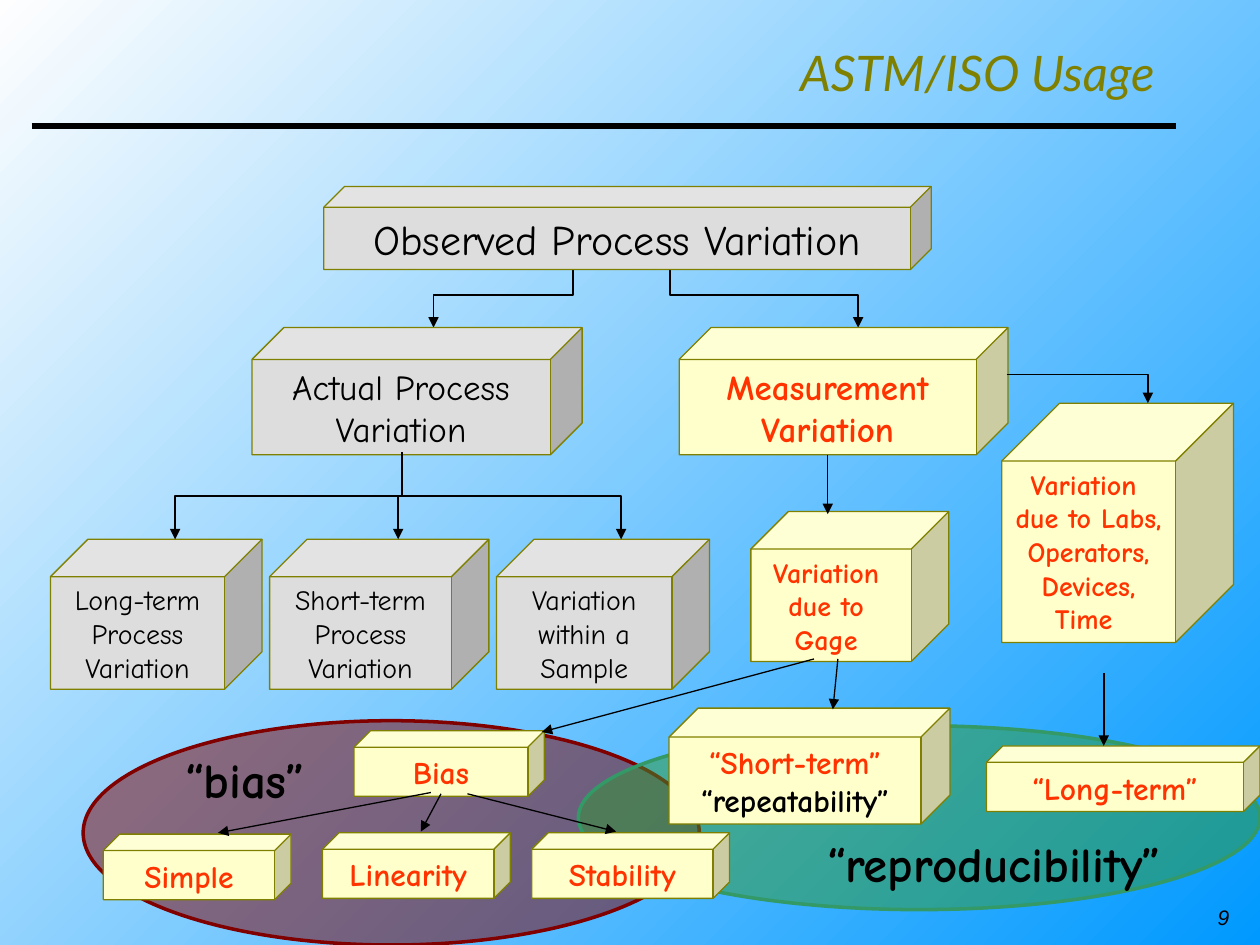
from lxml.etree import SubElement
from pptx import Presentation
from pptx.dml.color import RGBColor
from pptx.enum.shapes import MSO_CONNECTOR, MSO_SHAPE
from pptx.enum.text import MSO_ANCHOR, PP_ALIGN
from pptx.oxml.ns import qn
from pptx.util import Inches, Pt

COLORS = {
    "black": "000000", "white": "FEFEFE", "sky": "0099FF", "olive": "808000",
    "gray": "DDDDDD", "cream": "FFFFCC", "red": "FF3300", "maroon": "800000",
    "green": "339933", "sea": "339966",
}
BODY_FONT = "Comic Neue"

# left, top, width, height, text size, lines
PROCESS_CUBES = [
    (2, 2.6, 2.62, 1.01, 20, ["Actual Process Variation"]),
    (2.57, 1.48, 4.82, 0.66, 24, ["Observed Process Variation"]),
    (0.4, 4.28, 1.68, 1.19, 16, ["Long-term Process Variation"]),
    (2.14, 4.28, 1.74, 1.19, 16, ["Short-term Process Variation"]),
    (3.94, 4.28, 1.69, 1.19, 16, ["Variation within a Sample"]),
]
MEASUREMENT_CUBES = [
    (5.39, 2.6, 2.61, 1.01, 20, ["Measurement Variation"]),
    (7.95, 3.2, 1.84, 1.9, 16,
     ["Variation ", "due to Labs, Operators, Devices,", "Time "]),
    (5.96, 4.06, 1.57, 1.19, 16, ["Variation ", "due to ", "Gage "]),
    (2.81, 5.8, 1.51, 0.52, 18, ["Bias"]),
    (0.82, 6.62, 1.49, 0.52, 18, ["Simple"]),
    (2.56, 6.61, 1.49, 0.52, 18, ["Linearity"]),
    (4.22, 6.61, 1.57, 0.52, 18, ["Stability"]),
    (5.31, 5.62, 2.23, 0.92, 18, ["“Short-term”", "“repeatability”"]),
    (7.83, 5.92, 2.17, 0.52, 18, ["“Long-term”"]),
]
# start x, start y, end x, end y, line width
ARROWS = [
    (6.57, 3.61, 6.57, 4.08, 0.75),
    (8.76, 5.34, 8.76, 5.92, 1),
    (6.65, 5.23, 6.61, 5.63, 0.75),
    (3.71, 6.3, 4.89, 6.6, 0.75),
    (3.5, 6.3, 3.34, 6.6, 0.75),
    (3.42, 6.29, 1.73, 6.61, 0.75),
    (6.46, 5.23, 4.3, 5.81, 0.75),
]


def color(name):
    return RGBColor.from_string(COLORS[name])


def write_lines(shape, lines, size, ink, font=BODY_FONT, bold=False,
                italic=False, align=PP_ALIGN.CENTER):
    frame = shape.text_frame
    frame.text = "\n".join(lines)
    for para in frame.paragraphs:
        para.alignment = align
        for span in para.runs:
            span.font.name = font
            span.font.size = Pt(size)
            span.font.bold = bold
            span.font.italic = italic
            span.font.color.rgb = color(ink)


def add_label(page, left, top, width, height, text, size, ink,
              wrap=False, **style):
    box = page.shapes.add_textbox(
        Inches(left), Inches(top), Inches(width), Inches(height))
    box.text_frame.word_wrap = wrap
    write_lines(box, [text], size, ink, **style)
    return box


def add_outlined(page, kind, left, top, width, height, fill, outline, weight):
    shape = page.shapes.add_shape(
        kind, Inches(left), Inches(top), Inches(width), Inches(height))
    shape.shadow.inherit = False
    shape.fill.solid()
    shape.fill.fore_color.rgb = color(fill)
    shape.line.color.rgb = color(outline)
    shape.line.width = Pt(weight)
    return shape


def add_cube(page, left, top, width, height, size, lines, fill, ink, bold):
    cube = add_outlined(page, MSO_SHAPE.CUBE, left, top, width, height,
                        fill, "olive", 0.75)
    frame = cube.text_frame
    frame.word_wrap = True
    frame.vertical_anchor = MSO_ANCHOR.TOP
    frame.margin_left = frame.margin_right = Inches(0.09)
    frame.margin_top = frame.margin_bottom = Inches(0.05)
    write_lines(cube, lines, size, ink, bold=bold)
    return cube


def add_ellipse(page, left, top, width, height, fill, outline):
    """Add a half-transparent ellipse."""
    ellipse = add_outlined(page, MSO_SHAPE.OVAL, left, top, width, height,
                           fill, outline, 2)
    fill_color = ellipse._element.spPr.find(
        qn("a:solidFill")).find(qn("a:srgbClr"))
    SubElement(fill_color, qn("a:alpha"), val="50000")


def add_line(page, x1, y1, x2, y2, weight, kind=MSO_CONNECTOR.STRAIGHT,
             arrow=True):
    line = page.shapes.add_connector(
        kind, Inches(x1), Inches(y1), Inches(x2), Inches(y2))
    line.line.color.rgb = color("black")
    line.line.width = Pt(weight)
    if arrow:
        SubElement(line.line._get_or_add_ln(), qn("a:tailEnd"),
                   type="triangle")
    SubElement(line._element.spPr, qn("a:effectLst"))
    return line


def add_branch(page, x1, y1, x2, y2):
    """Add an elbow arrow that runs down, across and down again."""
    middle_x, middle_y = (x1 + x2) / 2, (y1 + y2) / 2
    half_drop, half_span = (y2 - y1) / 2, abs(x2 - x1) / 2
    side, degrees = (1, 270) if x2 > x1 else (-1, 90)
    branch = add_line(
        page, middle_x + side * half_drop, middle_y - half_span,
        middle_x - side * half_drop, middle_y + half_span,
        1, MSO_CONNECTOR.ELBOW)
    branch._element.spPr.xfrm.set("rot", str(degrees * 60000))


def add_backdrop(page, deck):
    backdrop = page.shapes.add_shape(
        MSO_SHAPE.RECTANGLE, 0, 0, deck.slide_width, deck.slide_height)
    backdrop.shadow.inherit = False
    backdrop.line.fill.background()
    backdrop.fill.gradient()
    backdrop.fill.gradient_angle = 135
    for stop, name, position in zip(
            backdrop.fill.gradient_stops, ("sky", "white"), (0, 1)):
        stop.color.rgb = color(name)
        stop.position = position


def main():
    deck = Presentation()
    deck.slide_width, deck.slide_height = Inches(10), Inches(7.5)
    page = deck.slides.add_slide(deck.slide_layouts[6])

    add_backdrop(page, deck)
    add_line(page, 0.25, 1, 9.33, 1, 3, arrow=False)
    number = add_label(page, 9.42, 7.13, 0.58, 0.3, "9", 12, "black",
                       wrap=True, font="Arial", italic=True)
    number.text_frame.paragraphs[0].space_before = Pt(7.5)
    title = add_label(page, 1.85, 0.35, 7.41, 0.44, "ASTM/ISO Usage", 28,
                      "olive", wrap=True, font="Lato", italic=True,
                      align=PP_ALIGN.RIGHT)
    title.text_frame.vertical_anchor = MSO_ANCHOR.MIDDLE

    add_ellipse(page, 0.66, 5.72, 4.89, 1.78, "maroon", "maroon")
    add_ellipse(page, 4.59, 5.76, 5.41, 1.46, "green", "sea")

    add_branch(page, 4.55, 2.08, 3.44, 2.6)
    add_branch(page, 5.32, 2.08, 6.81, 2.6)
    for cube in PROCESS_CUBES:
        add_cube(page, *cube, fill="gray", ink="black", bold=False)
    for cube in MEASUREMENT_CUBES:
        shape = add_cube(page, *cube, fill="cream", ink="red", bold=True)
        if "“repeatability”" in cube[-1]:
            span = shape.text_frame.paragraphs[-1].runs[0]
            span.font.color.rgb = color("black")

    for child_x in (1.39, 3.16, 4.93):
        add_branch(page, 3.19, 3.59, child_x, 4.28)
    corner = add_line(page, 7.99, 2.97, 9.11, 3.2, 0.75, MSO_CONNECTOR.ELBOW)
    corner._element.spPr.prstGeom.set("prst", "bentConnector2")
    for arrow in ARROWS:
        add_line(page, *arrow)

    add_label(page, 6.46, 6.57, 2.86, 0.57, "“reproducibility”", 28, "black",
              bold=True)
    add_label(page, 1.37, 5.9, 1.15, 0.57, "“bias”", 28, "black", bold=True)

    deck.save("out.pptx")


if __name__ == "__main__":
    main()
